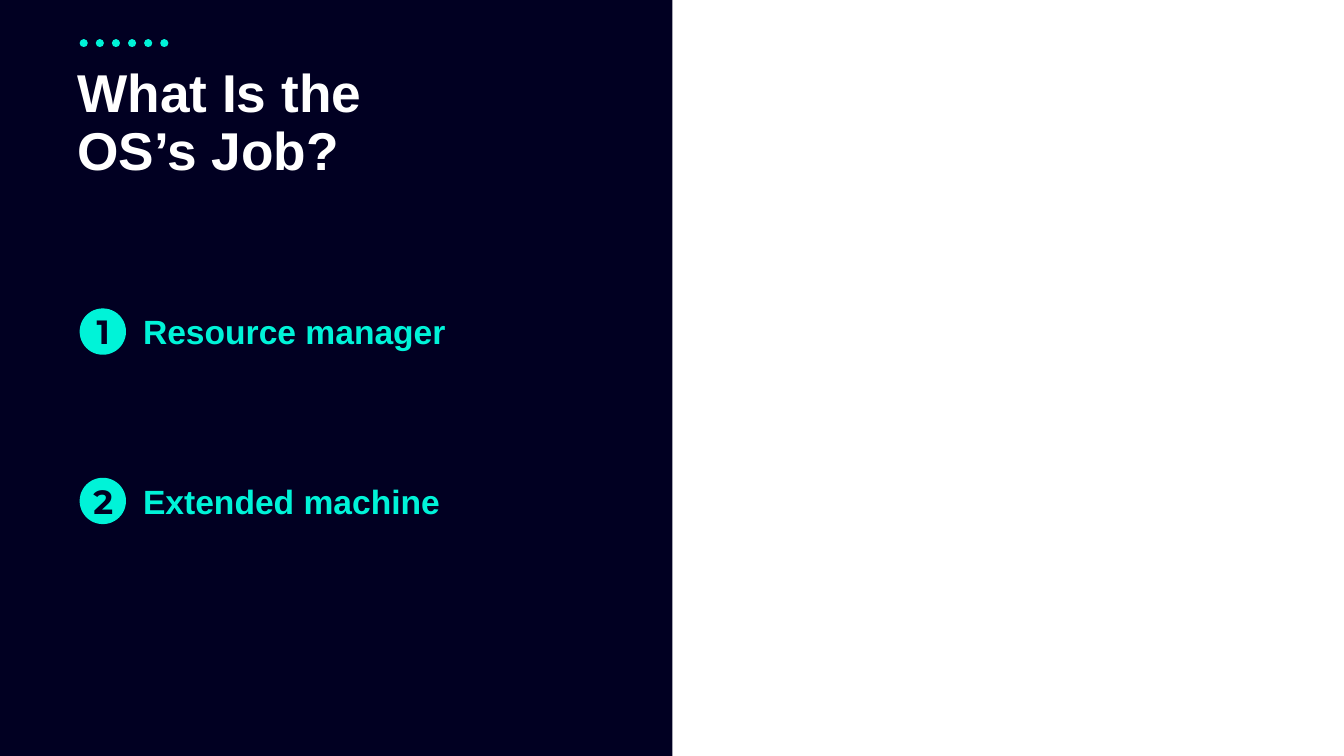
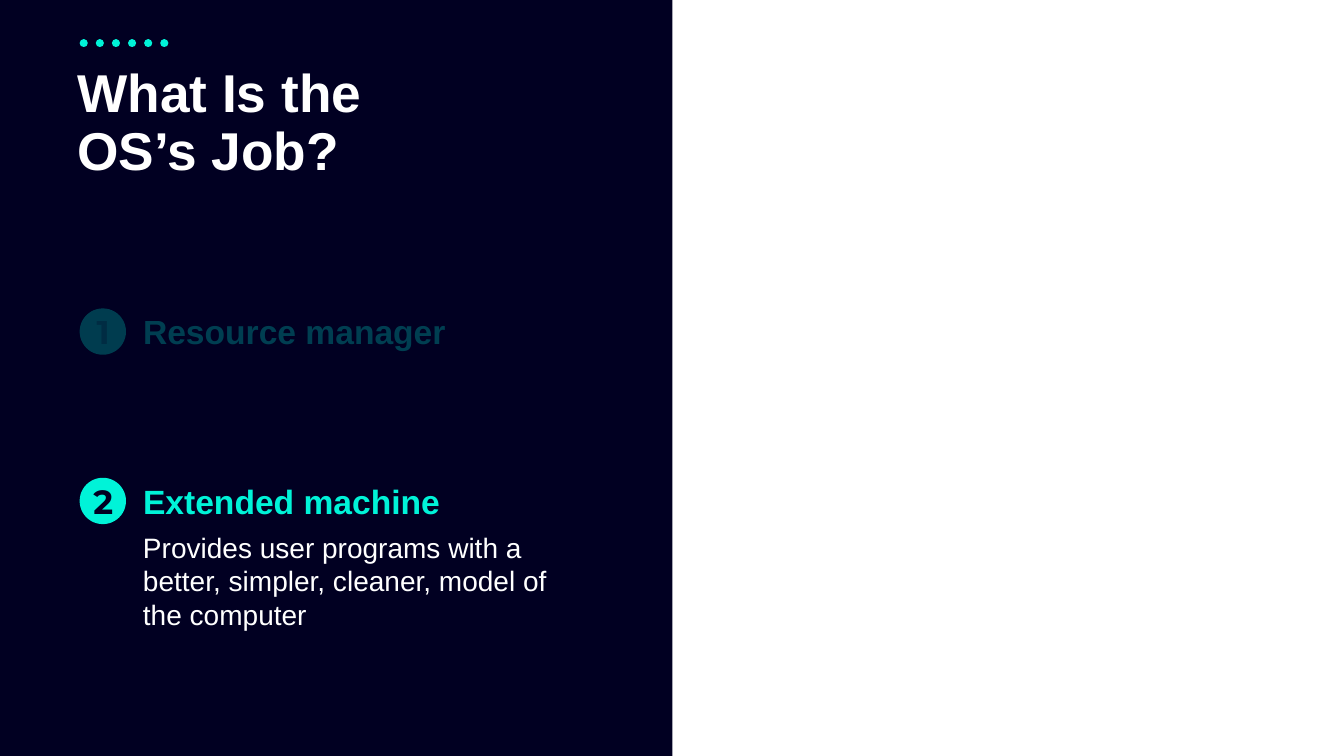
from dataclasses import dataclass

from lxml import etree
from pptx import Presentation
from pptx.dml.color import RGBColor
from pptx.enum.shapes import MSO_CONNECTOR as CONN, MSO_SHAPE as SHAPE
from pptx.enum.dml import MSO_LINE
from pptx.enum.text import MSO_ANCHOR as ANCHOR, PP_ALIGN as ALIGN
from pptx.oxml.ns import qn
from pptx.util import Inches, Pt


@dataclass(frozen=True)
class Theme:
    navy: RGBColor = RGBColor.from_string("010022")
    teal: RGBColor = RGBColor.from_string("00F3D8")
    white: RGBColor = RGBColor.from_string("FFFFFF")
    font: str = "Arial"
    badge_font: str = "Montserrat"
    title: int = 38
    heading: int = 24
    body: int = 20
    dimmed: int = 25  # opacity in percent


T = Theme()


def set_fill(fill, color, opacity=100):
    fill.solid()
    fill.fore_color.rgb = color
    if opacity < 100:
        srgb = fill._xPr.find(f"{qn('a:solidFill')}/{qn('a:srgbClr')}")
        etree.SubElement(srgb, qn("a:alpha"), val=str(opacity * 1000))


def add_text(shapes, box, text, size, color, opacity=100, font=T.font,
             bold=True, wrap=True, align=ALIGN.LEFT, anchor=ANCHOR.TOP, spacing=None):
    """Add a text box; each line of text becomes a run, parted by line breaks."""
    tf = shapes.add_textbox(*map(Inches, box)).text_frame
    tf.word_wrap = wrap
    tf.vertical_anchor = anchor
    p = tf.paragraphs[0]
    p.alignment = align
    p.line_spacing = spacing
    for i, line in enumerate(text.split("\n")):
        if i:
            p.add_line_break()
        r = p.add_run()
        r.text = line
        r.font.name, r.font.size, r.font.bold = font, Pt(size), bold
        set_fill(r.font.fill, color, opacity)


prs = Presentation()
prs.slide_width, prs.slide_height = Inches(13.33), Inches(7.5)

jobs = ["Resource manager", "Extended machine"]
first_top, job_step = 3.04, 1.68
text_left = 1.32

# Each slide: the jobs that are dimmed, and the explanation of the last job
slides = [
    (set(), None),
    ({"Resource manager"},
     "Provides user programs with a better, simpler, cleaner, model of the computer"),
]

for dimmed_jobs, explanation in slides:
    s = prs.slides.add_slide(prs.slide_layouts[6])

    panel = s.shapes.add_shape(SHAPE.RECTANGLE, 0, 0, Inches(6.67), prs.slide_height)
    panel.shadow.inherit = False
    set_fill(panel.fill, T.navy)
    panel.line.fill.background()

    dots = s.shapes.add_connector(CONN.STRAIGHT, Inches(0.83), Inches(0.43),
                                  Inches(1.67), Inches(0.43))
    dots.line.color.rgb = T.teal
    dots.line.width = Pt(5.75)
    dots.line.dash_style = MSO_LINE.ROUND_DOT
    dots.line._get_or_add_ln().set("cap", "rnd")
    etree.SubElement(dots._element.spPr, qn("a:effectLst"))

    add_text(s.shapes, (0.67, 0.61, 5.33, 1.25), "What Is the \nOS’s Job?",
             T.title, T.white, anchor=ANCHOR.MIDDLE, spacing=0.9)

    for i, job in enumerate(jobs):
        top = first_top + i * job_step
        opacity = T.dimmed if job in dimmed_jobs else 100
        add_text(s.shapes, (text_left, top, 5.01, 0.5), job, T.heading, T.teal, opacity)

        badge = s.shapes.add_group_shape()
        disc = badge.shapes.add_shape(SHAPE.OVAL, Inches(0.79), Inches(top + 0.02),
                                      Inches(0.46), Inches(0.46))
        disc.shadow.inherit = False
        set_fill(disc.fill, T.teal, opacity)
        disc.line.fill.background()
        add_text(badge.shapes, (0.81, top, 0.43, 0.5), str(i + 1), T.heading, T.navy,
                 opacity, T.badge_font, wrap=False, align=ALIGN.CENTER)

    if explanation:
        add_text(s.shapes, (text_left, 5.21, 4.57, 1.11), explanation,
                 T.body, T.white, bold=False)

prs.save("out.pptx")
